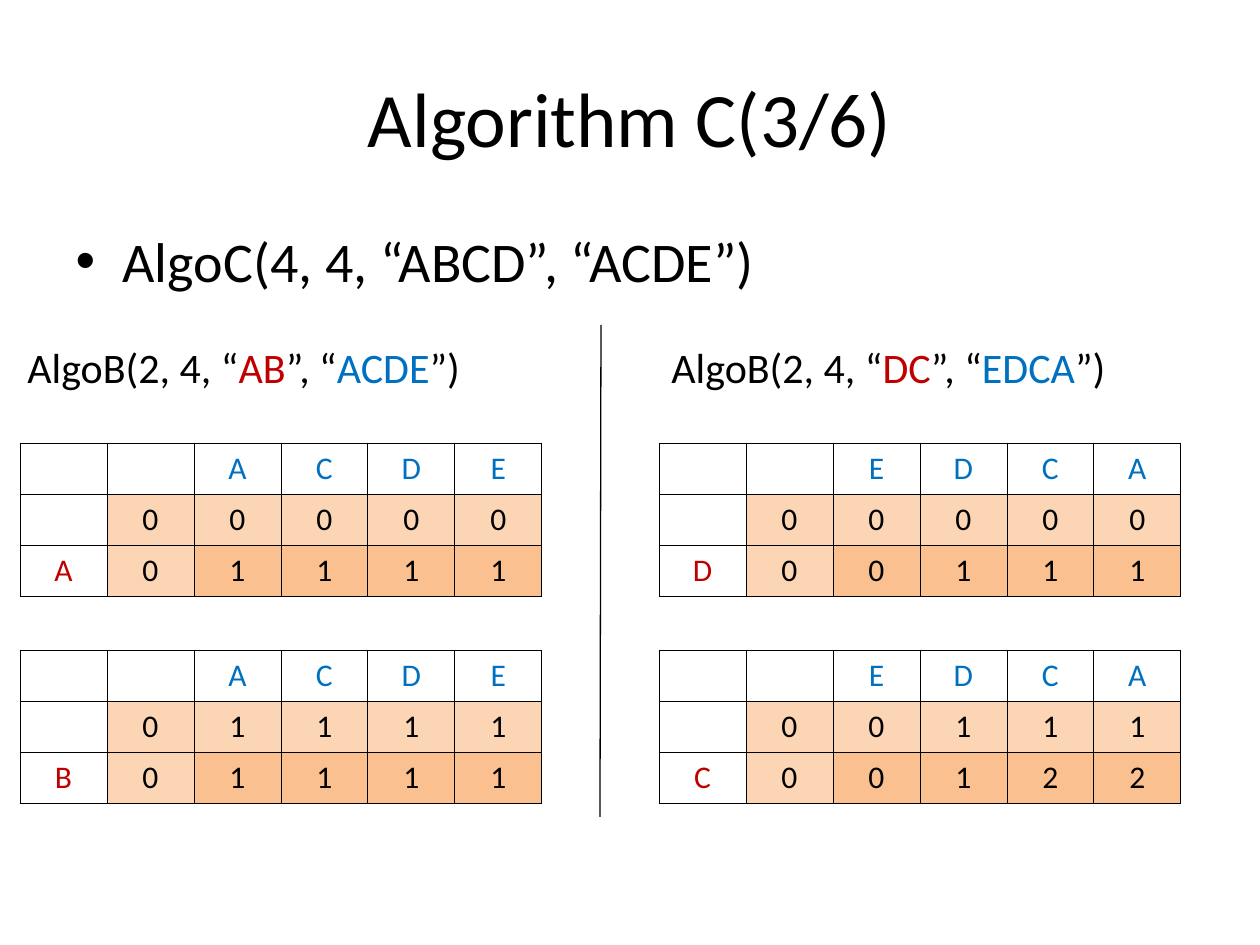
from lxml.etree import SubElement
from pptx import Presentation
from pptx.dml.color import RGBColor
from pptx.enum.shapes import MSO_CONNECTOR
from pptx.enum.text import MSO_ANCHOR, MSO_AUTO_SIZE, PP_ALIGN
from pptx.oxml.ns import qn
from pptx.util import Emu, Pt

PX_PER_INCH = 126
FONT = "Calibri"
COLORS = {
    "black": "000000",
    "row_letter": "C00000",
    "column_letter": "0070C0",
    "known": "FCD5B5",
    "computed": "FAC090",
}
CELL_WIDTH, CELL_HEIGHT = 87, 51
STEP_TOPS = (108, 315)  # below the top of a call panel

CALLS = [
    {
        "left": 15, "table_offset": 5, "rows": "AB", "columns": "ACDE",
        "steps": [("00000", "01111"), ("01111", "01111")],
    },
    {
        "left": 659, "table_offset": 0, "rows": "DC", "columns": "EDCA",
        "steps": [("00000", "00111"), ("00111", "00122")],
    },
]


def px(length):
    return Emu(round(length * 914400 / PX_PER_INCH))


def rgb(name):
    return RGBColor.from_string(COLORS[name])


def write(paragraph, text, size=18, color="black", align=None):
    """Add one formatted run to a paragraph."""
    if align is not None:
        paragraph.alignment = align
    run = paragraph.add_run()
    run.text = text
    run.font.name = FONT
    run.font.size = Pt(size)
    run.font.color.rgb = rgb(color)


def place(shape, left, top, width, height):
    shape.left, shape.top = px(left), px(top)
    shape.width, shape.height = px(width), px(height)


def fill_title(shape, text):
    place(shape, 63, 38, 1134, 157)
    shape.text_frame.vertical_anchor = MSO_ANCHOR.MIDDLE
    write(shape.text_frame.paragraphs[0], text, size=44, align=PP_ALIGN.CENTER)


def fill_body(shape, text):
    place(shape, 63, 220, 1134, 624)
    paragraph = shape.text_frame.paragraphs[0]
    paragraph.space_before = Pt(0)
    properties = paragraph._p.get_or_add_pPr()
    properties.set("marL", str(px(47)))
    properties.set("indent", str(-px(47)))
    SubElement(properties, qn("a:buChar"), char="•")
    write(paragraph, text, size=32)


def set_borders(cell):
    """Draw a thin black line on each side; call before filling the cell."""
    properties = cell._tc.get_or_add_tcPr()
    for side in ("a:lnL", "a:lnR", "a:lnT", "a:lnB"):
        line = SubElement(properties, qn(side), w=str(Pt(0.45)))
        fill = SubElement(line, qn("a:solidFill"))
        SubElement(fill, qn("a:srgbClr"), val=COLORS["black"])


def cell_style(row, column):
    """Return the text colour and the fill name of a cell."""
    if row == 0:
        return "column_letter", None
    if column == 0:
        return "row_letter", None
    return "black", "computed" if row == 2 and column > 1 else "known"


def add_step_table(slide, left, top, row_letter, column_letters, step):
    previous, current = step
    grid = [
        ["", "", *column_letters],
        ["", *previous],
        [row_letter, *current],
    ]
    row_count, column_count = len(grid), len(grid[0])
    table = slide.shapes.add_table(
        row_count, column_count, px(left), px(top),
        px(column_count * CELL_WIDTH), px(row_count * CELL_HEIGHT),
    ).table
    table.first_row = table.horz_banding = False
    for column in table.columns:
        column.width = px(CELL_WIDTH)
    for row_index, values in enumerate(grid):
        table.rows[row_index].height = px(CELL_HEIGHT)
        for column_index, value in enumerate(values):
            cell = table.cell(row_index, column_index)
            color, fill = cell_style(row_index, column_index)
            set_borders(cell)
            if fill:
                cell.fill.solid()
                cell.fill.fore_color.rgb = rgb(fill)
            else:
                cell.fill.background()
            if value:
                write(cell.text_frame.paragraphs[0], value, color=color,
                      align=PP_ALIGN.CENTER)


def add_call_panel(slide, left, top, call):
    """Add the call's heading and one table for each row letter."""
    heading = slide.shapes.add_textbox(px(left), px(top), px(463), px(63))
    heading.text_frame.word_wrap = False
    heading.text_frame.auto_size = MSO_AUTO_SIZE.SHAPE_TO_FIT_TEXT
    paragraph = heading.text_frame.paragraphs[0]
    for text, color in (
        ("AlgoB(2, 4, “", "black"),
        (call["rows"], "row_letter"),
        ("”, “", "black"),
        (call["columns"], "column_letter"),
        ("”)", "black"),
    ):
        write(paragraph, text, size=24, color=color)
    for offset, row_letter, step in zip(STEP_TOPS, call["rows"], call["steps"]):
        add_step_table(slide, left + call["table_offset"], top + offset,
                       row_letter, call["columns"], step)


def add_divider(slide, top_x, top, bottom_x, bottom):
    divider = slide.shapes.add_connector(
        MSO_CONNECTOR.STRAIGHT, px(top_x), px(top), px(bottom_x), px(bottom))
    divider.line.color.rgb = rgb("black")
    divider.line.width = Pt(0.75)
    SubElement(divider._element.spPr, qn("a:effectLst"))


def main():
    presentation = Presentation()
    presentation.slide_width, presentation.slide_height = px(1260), px(945)
    slide = presentation.slides.add_slide(presentation.slide_layouts[1])
    fill_title(slide.shapes.title, "Algorithm C(3/6)")
    fill_body(slide.placeholders[1], "AlgoC(4, 4, “ABCD”, “ACDE”)")
    for call in CALLS:
        add_call_panel(slide, call["left"], 335, call)
    add_divider(slide, 601, 325, 600, 817)
    presentation.save("out.pptx")


if __name__ == "__main__":
    main()
